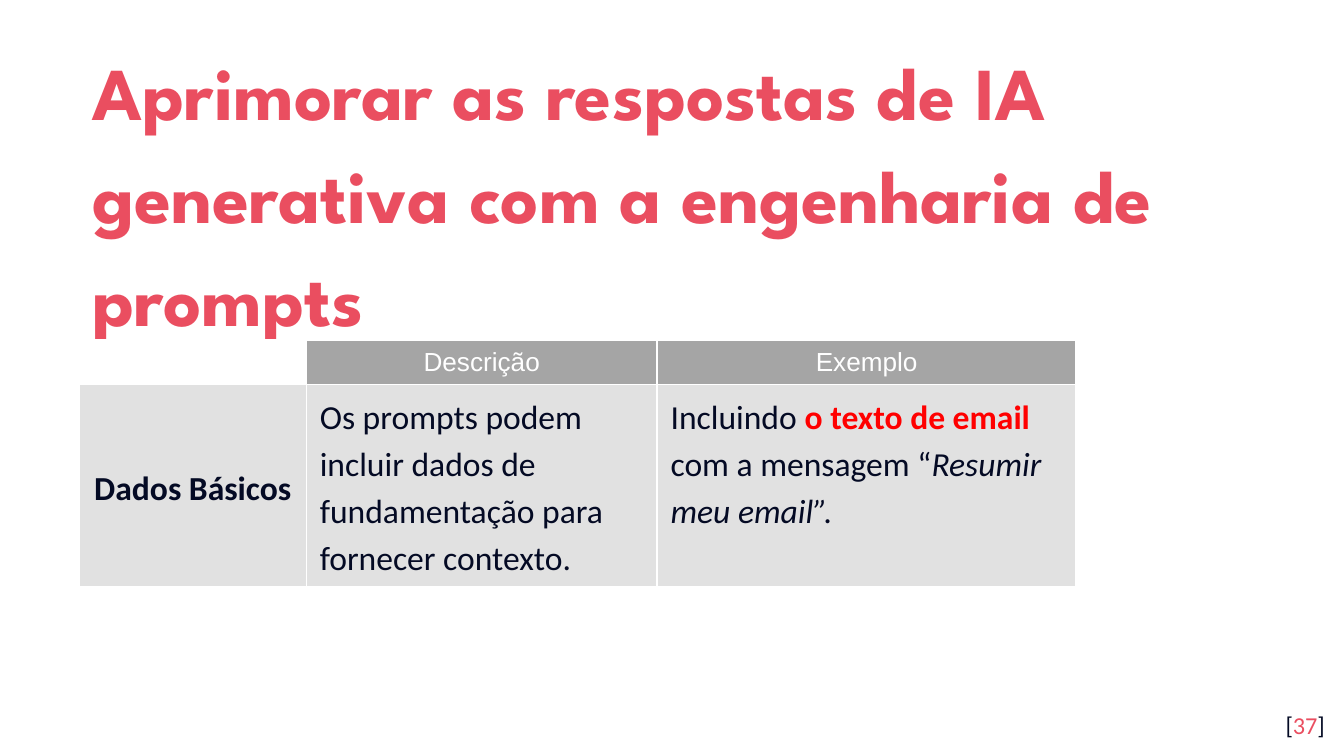
from lxml.etree import SubElement
from pptx import Presentation
from pptx.dml.color import RGBColor
from pptx.enum.text import MSO_ANCHOR as Anchor, MSO_AUTO_SIZE as AutoSize, PP_ALIGN as Align
from pptx.oxml.ns import qn
from pptx.util import Cm, Pt

CORAL = RGBColor(0xEA, 0x4E, 0x60)
NAVY = RGBColor(0x04, 0x0A, 0x24)
RED = RGBColor(0xFF, 0x00, 0x00)
WHITE = RGBColor(0xFF, 0xFF, 0xFF)
HEADER_GREY = RGBColor(0xA5, 0xA5, 0xA5)
BODY_GREY = RGBColor(0xE1, 0xE1, 0xE1)


class SlideBuilder:
    title_font = "League Spartan"
    body_font = "Calibri"
    header_font = "Arial"
    line_spacing = 1.15
    inset = Cm(0.25)

    def __init__(self, deck):
        self.slide = deck.slides.add_slide(deck.slide_layouts[5])

    def add_runs(self, frame, runs, size, font, align=Align.LEFT, spacing=None):
        """Fill the first paragraph with (text, colour, bold, italic) runs."""
        paragraph = frame.paragraphs[0]
        paragraph.alignment = align
        paragraph.line_spacing = spacing
        for text, colour, bold, italic in runs:
            run = paragraph.add_run()
            run.text = text
            run.font.size, run.font.name = Pt(size), font
            run.font.bold, run.font.italic = bold, italic
            run.font.color.rgb = colour

    def prepare_frame(self, frame, anchor):
        frame.word_wrap = True
        frame.auto_size = AutoSize.NONE
        frame.vertical_anchor = anchor
        frame.margin_left = frame.margin_right = self.inset
        frame.margin_top = frame.margin_bottom = self.inset

    def title(self, text, left, top, width, height):
        heading = self.slide.shapes.title
        heading.left, heading.top = Cm(left), Cm(top)
        heading.width, heading.height = Cm(width), Cm(height)
        self.prepare_frame(heading.text_frame, Anchor.MIDDLE)
        self.add_runs(heading.text_frame, [(text, CORAL, True, False)], 40,
                      self.title_font, spacing=self.line_spacing)

    def page_number(self, number, left, top, width, height):
        box = self.slide.shapes.add_textbox(Cm(left), Cm(top), Cm(width), Cm(height))
        self.prepare_frame(box.text_frame, Anchor.TOP)
        parts = [("[", NAVY), (number, CORAL), ("]", NAVY)]
        self.add_runs(box.text_frame, [(text, colour, False, False) for text, colour in parts],
                      13, self.body_font, Align.RIGHT)

    def table(self, left, top, widths, heights):
        frame = self.slide.shapes.add_table(len(heights), len(widths), Cm(left), Cm(top),
                                            Cm(sum(widths)), Cm(sum(heights)))
        grid = frame.table
        grid.first_row = grid.horz_banding = False
        for column, width in zip(grid.columns, widths):
            column.width = Cm(width)
        for row, height in zip(grid.rows, heights):
            row.height = Cm(height)
        return grid

    def cell(self, cell, fill, anchor=Anchor.MIDDLE):
        """Give a cell its anchor, white borders and fill."""
        cell.vertical_anchor = anchor
        properties = cell._tc.get_or_add_tcPr()
        for side in ("a:lnL", "a:lnR", "a:lnT", "a:lnB"):
            line = SubElement(properties, qn(side), w=str(Pt(1)))
            SubElement(SubElement(line, qn("a:solidFill")), qn("a:srgbClr"), val=str(WHITE))
        cell.fill.solid()
        cell.fill.fore_color.rgb = fill

    def header_cell(self, cell, text):
        self.cell(cell, HEADER_GREY)
        self.add_runs(cell.text_frame, [(text, WHITE, False, False)], 14,
                      self.header_font, Align.CENTER)

    def body_cell(self, cell, runs, anchor=Anchor.TOP, align=Align.LEFT):
        self.cell(cell, BODY_GREY, anchor)
        self.add_runs(cell.text_frame, runs, 18, self.body_font, align, self.line_spacing)


def main():
    deck = Presentation()
    deck.slide_width, deck.slide_height = Cm(25.4), Cm(14.29)
    builder = SlideBuilder(deck)

    builder.title("Aprimorar as respostas de IA generativa com a engenharia de prompts",
                  1.5, 2.36, 22.28, 2.34)
    builder.page_number("37", 23.77, 13.18, 1.52, 1.09)

    prompts = builder.table(1.5, 6.43, widths=[4.29, 6.63, 7.92], heights=[0.84, 3.8])
    corner = prompts.cell(0, 0)
    corner.margin_top = corner.margin_bottom = 0
    builder.cell(corner, WHITE)
    for column, heading in enumerate(["Descrição", "Exemplo"], start=1):
        builder.header_cell(prompts.cell(0, column), heading)

    builder.body_cell(prompts.cell(1, 0), [("Dados Básicos", NAVY, True, False)],
                      Anchor.MIDDLE, Align.CENTER)
    description = "Os prompts podem incluir dados de fundamentação para fornecer contexto."
    builder.body_cell(prompts.cell(1, 1), [(description, NAVY, False, False)])
    builder.body_cell(prompts.cell(1, 2), [
        ("Incluindo ", NAVY, False, False),
        ("o texto de email", RED, True, False),
        (" com a mensagem “", NAVY, False, False),
        ("Resumir meu email”.", NAVY, False, True),
    ])
    deck.save("out.pptx")


if __name__ == "__main__":
    main()
